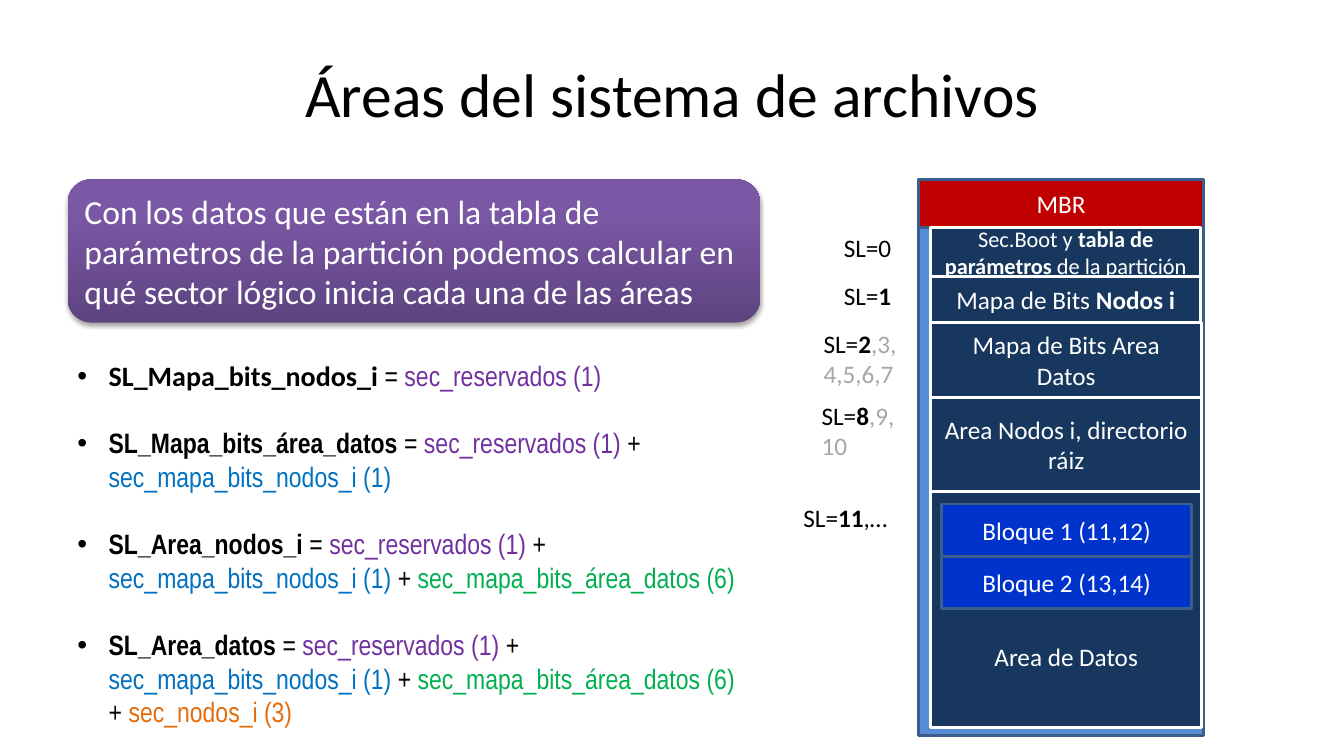
from lxml.etree import SubElement
from pptx import Presentation
from pptx.dml.color import RGBColor
from pptx.enum.shapes import MSO_SHAPE
from pptx.enum.text import MSO_ANCHOR, PP_ALIGN
from pptx.oxml import parse_xml
from pptx.oxml.ns import nsdecls, qn
from pptx.util import Inches, Pt

COLORS = {
    "black": "000000", "white": "FFFFFF", "gray": "A6A6A6",
    "disk": "558ED5", "border": "3A5F8C", "area": "17375E",
    "mbr": "C00000", "block": "0033CC",
    "purple": "7030A0", "blue": "0070C0", "green": "00B050", "orange": "E46C0A",
}
CELL = Inches(0.1)

presentation = Presentation()
presentation.slide_width = Inches(13.33)
presentation.slide_height = Inches(7.5)
slide = presentation.slides.add_slide(presentation.slide_layouts[6])


def write(paragraph, runs, size, color="black", font="Calibri"):
    for text, *style in runs:
        run = paragraph.add_run()
        run.text = text
        run.font.name = font
        run.font.size = Pt(size)
        run.font.bold = "bold" in style
        name = next((item for item in style if item in COLORS), color)
        run.font.color.rgb = RGBColor.from_string(COLORS[name])


def add_box(column, row, columns, rows, fill, line, runs=(), size=18):
    shape = slide.shapes.add_shape(
        MSO_SHAPE.RECTANGLE, *(round(n * CELL) for n in (column, row, columns, rows)))
    shape.shadow.inherit = False
    shape.fill.solid()
    shape.fill.fore_color.rgb = RGBColor.from_string(COLORS[fill])
    shape.line.color.rgb = RGBColor.from_string(COLORS[line])
    shape.line.width = Pt(2)
    shape.text_frame.word_wrap = True
    paragraph = shape.text_frame.paragraphs[0]
    paragraph.alignment = PP_ALIGN.CENTER
    write(paragraph, runs, size, "white")
    return shape


title = slide.shapes.add_textbox(*(round(n * CELL) for n in (6.7, 3, 120, 12.5)))
title.text_frame.word_wrap = True
title.text_frame.vertical_anchor = MSO_ANCHOR.MIDDLE
title.text_frame.paragraphs[0].alignment = PP_ALIGN.CENTER
write(title.text_frame.paragraphs[0], [("Áreas del sistema de archivos",)], 44)

add_box(91.1, 17.8, 28.3, 55.2, "disk", "border")
add_box(91.1, 17.8, 28.3, 4.8, "mbr", "border", [("MBR",)])

areas = [
    (4.8, 26.8, 16, [("Sec.Boot y ",), ("tabla de parámetros", "bold"), (" de la partición",)]),
    (4.6, 26.8, 18, [("Mapa de Bits ",), ("Nodos i", "bold")]),
    (7.4, 26.9, 18, [("Mapa de Bits Area Datos",)]),
    (9.4, 26.9, 18, [("Area Nodos i, directorio ráiz",)]),
    (23.4, 26.9, 18, [("Area de Datos",)]),
]
row = 22.6
for rows, columns, size, runs in areas:
    area = add_box(92.3, row, columns, rows, "area", "white", runs, size)
    row += rows
area.text_frame.margin_top = Inches(0.97)

for index, sectors in enumerate(["11,12", "13,14"]):
    add_box(93.4, 50 + 5.2 * index, 24.8, 5.2, "block", "border",
            [(f"Bloque {index + 1} ({sectors})",)])

sector_labels = [
    (82.7, 22.6, 6.8, 4, False, [("SL=0",)]),
    (82.7, 27.3, 6.8, 4, False, [("SL=",), ("1", "bold")]),
    (80.7, 32.1, 10.4, 7.1, True, [("SL=",), ("2", "bold"), (",3,4,5,6,7", "gray")]),
    (80.5, 39.2, 9.8, 7.1, True, [("SL=",), ("8", "bold"), (",9,10", "gray")]),
    (78.7, 49.3, 11.7, 4, True, [("SL=",), ("11", "bold"), (",…",)]),
]
for *place, wrap, runs in sector_labels:
    label = slide.shapes.add_textbox(*(round(n * CELL) for n in place))
    label.text_frame.word_wrap = wrap
    write(label.text_frame.paragraphs[0], runs, 18)

callout = slide.shapes.add_shape(
    MSO_SHAPE.ROUNDED_RECTANGLE, *(round(n * CELL) for n in (6.7, 17.8, 68.7, 14.2)))
callout.line.fill.background()
callout.fill.gradient()
callout.fill.gradient_angle = 90
stops = callout._element.spPr.find(qn("a:gradFill")).find(qn("a:gsLst"))
for stop in list(stops):
    stops.remove(stop)
for position, color in [(0, "5F4480"), (80, "7B58A6"), (100, "7C57A8")]:
    stop = SubElement(stops, qn("a:gs"), pos=str(position * 1000))
    SubElement(stop, qn("a:srgbClr"), val=color)
callout._element.spPr.append(parse_xml(
    f'<a:effectLst {nsdecls("a")}><a:outerShdw blurRad="{Pt(3.1)}" dist="{Pt(1.8)}" '
    'dir="5400000" rotWithShape="0"><a:srgbClr val="000000"><a:alpha val="35000"/>'
    '</a:srgbClr></a:outerShdw></a:effectLst>'))
callout.text_frame.word_wrap = True
callout.text_frame.paragraphs[0].alignment = PP_ALIGN.LEFT
write(callout.text_frame.paragraphs[0], [(
    "Con los datos que están en la tabla de parámetros de la partición podemos "
    "calcular en qué sector lógico inicia cada una de las áreas",)], 24, "white")

terms = [
    ("sec_reservados (1)", "purple"),
    ("sec_mapa_bits_nodos_i (1)", "blue"),
    ("sec_mapa_bits_área_datos (6)", "green"),
    ("sec_nodos_i (3)", "orange"),
]
starts = ["SL_Mapa_bits_nodos_i", "SL_Mapa_bits_área_datos", "SL_Area_nodos_i", "SL_Area_datos"]
formulas = slide.shapes.add_textbox(*(round(n * CELL) for n in (6.7, 35.1, 68.7, 38)))
formulas.text_frame.word_wrap = True
for index, start in enumerate(starts):
    first = index == 0
    paragraph = formulas.text_frame.paragraphs[0] if first else formulas.text_frame.add_paragraph()
    properties = paragraph._p.get_or_add_pPr()
    properties.set("marL", str(Inches(0.31)))
    properties.set("indent", str(-Inches(0.31)))
    SubElement(properties, qn("a:buFont"), typeface="Arial")
    SubElement(properties, qn("a:buChar"), char="•")
    if not first:
        paragraph.space_before = Pt(24)
    write(paragraph, [(start, "bold")], 20, font="Calibri" if first else "Arial Narrow")
    for position, term in enumerate(terms[:index + 1]):
        write(paragraph, [(" + " if position else " = ",), term], 20, font="Arial Narrow")

presentation.save("out.pptx")
